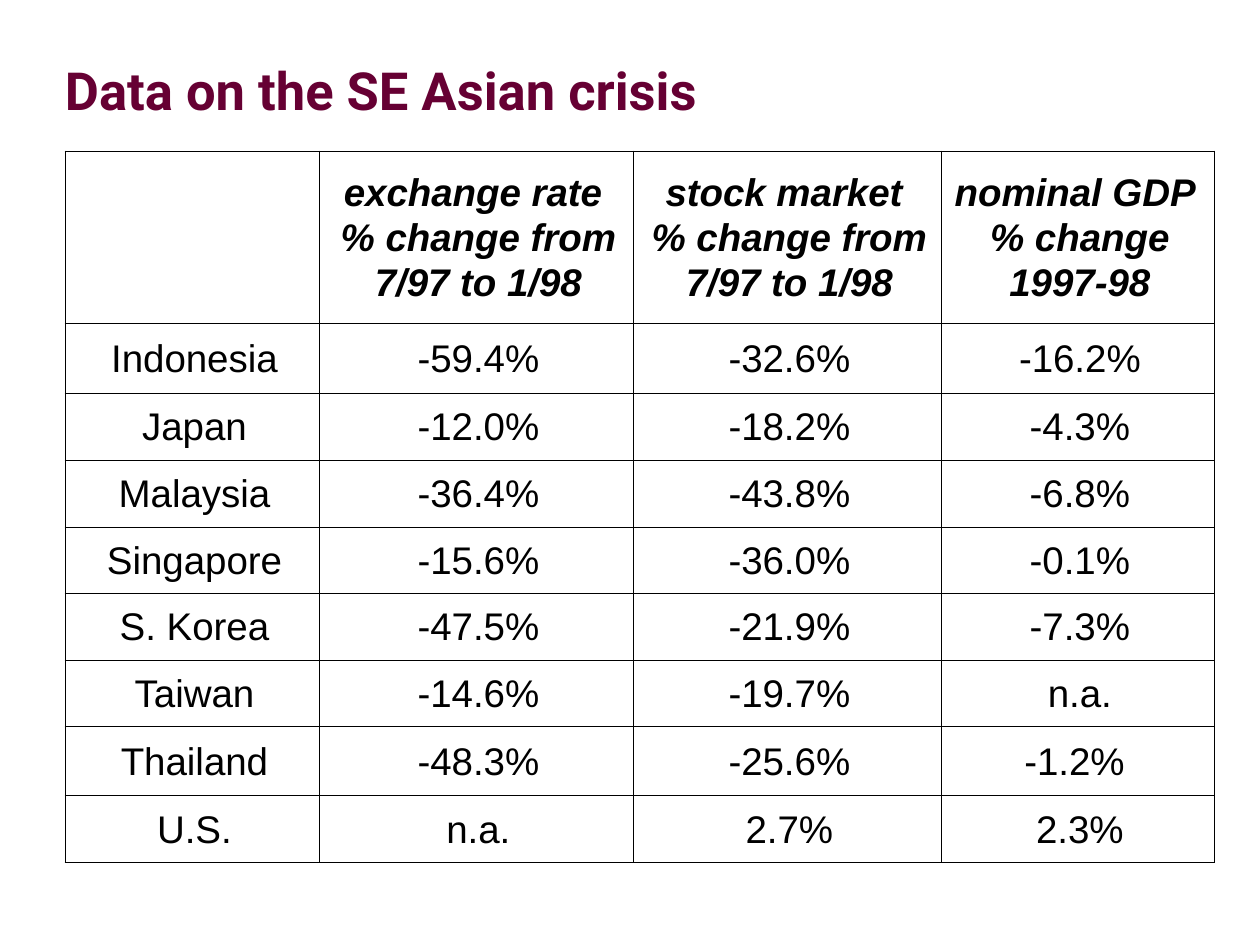
from lxml.etree import SubElement
from pptx import Presentation
from pptx.dml.color import RGBColor
from pptx.enum.text import MSO_ANCHOR, PP_ALIGN
from pptx.oxml.ns import qn
from pptx.util import Emu, Pt

# Content
TITLE = "Data on the SE Asian crisis"
HEADERS = [
    "",
    "exchange rate \n% change from 7/97 to 1/98",
    "stock market \n% change from 7/97 to 1/98",
    "nominal GDP \n% change 1997-98",
]
COUNTRIES = [
    ("Indonesia", "-59.4%", "-32.6%", "-16.2%"),
    ("Japan", "-12.0%", "-18.2%", "-4.3%"),
    ("Malaysia", "-36.4%", "-43.8%", "-6.8%"),
    ("Singapore", "-15.6%", "-36.0%", "-0.1%"),
    ("S. Korea", "-47.5%", "-21.9%", "-7.3%"),
    ("Taiwan", "-14.6%", "-19.7%", "n.a."),
    ("Thailand", "-48.3%", "-25.6%", "-1.2% "),
    ("U.S.", "n.a.", "2.7%", "2.3%"),
]

# Layout in px, 126 to the inch
PX = 914400 // 126
TITLE_BOX = (65, 4, 1138, 168)
TABLE_LEFT, TABLE_TOP = 65, 151
COLUMN_WIDTHS = [254, 314, 308, 273]
ROW_HEIGHTS = [172, 70, 67, 67, 66, 67, 67, 69, 67]
INDENT = 5
LINE_SPACING = 1.05
BORDER_WIDTH = Pt(0.45)

PLUM = RGBColor(0x66, 0x00, 0x33)
BLACK = RGBColor(0, 0, 0)
WHITE = RGBColor(255, 255, 255)

TITLE_FONT = {"name": "Roboto", "size": Pt(30), "bold": True}
BODY_FONT = {"name": "Arial", "size": Pt(22), "bold": False, "italic": False}
HEADER_FONT = {**BODY_FONT, "bold": True, "italic": True}
TITLE_FRAME = {"word_wrap": True, "vertical_anchor": MSO_ANCHOR.MIDDLE,
               "margin_left": 0, "margin_right": 0,
               "margin_top": 0, "margin_bottom": 0}
CELL_FRAME = {"vertical_anchor": MSO_ANCHOR.MIDDLE,
              "margin_left": Emu(8 * PX), "margin_right": Emu(8 * PX),
              "margin_top": Emu(6 * PX), "margin_bottom": Emu(6 * PX)}


def px(length):
    return Emu(length * PX)


def apply(target, values):
    for name, value in values.items():
        setattr(target, name, value)


def write(paragraph, text, font, color):
    paragraph.text = text
    paragraph.line_spacing = LINE_SPACING
    for run in paragraph.runs:
        apply(run.font, font)
        run.font.color.rgb = color


def add_borders(cell):
    properties = cell._tc.get_or_add_tcPr()
    for side in ("lnL", "lnR", "lnT", "lnB"):
        line = SubElement(properties, qn(f"a:{side}"), w=str(int(BORDER_WIDTH)))
        fill = SubElement(line, qn("a:solidFill"))
        SubElement(fill, qn("a:srgbClr"), val=str(BLACK))


def fill_cell(cell, text, font):
    apply(cell, CELL_FRAME)
    add_borders(cell)
    cell.fill.solid()
    cell.fill.fore_color.rgb = WHITE
    if text:
        paragraph = cell.text_frame.paragraphs[0]
        write(paragraph, text, font, BLACK)
        paragraph.alignment = PP_ALIGN.CENTER
        paragraph._p.get_or_add_pPr().set("marL", str(INDENT * PX))


def main():
    prs = Presentation()
    prs.slide_width, prs.slide_height = px(1260), px(945)
    slide = prs.slides.add_slide(prs.slide_layouts[6])

    # Title
    title = slide.shapes.add_textbox(*map(px, TITLE_BOX)).text_frame
    apply(title, TITLE_FRAME)
    write(title.paragraphs[0], TITLE, TITLE_FONT, PLUM)

    # Table
    rows = [HEADERS, *COUNTRIES]
    table = slide.shapes.add_table(
        len(rows), len(HEADERS), px(TABLE_LEFT), px(TABLE_TOP),
        px(sum(COLUMN_WIDTHS)), px(sum(ROW_HEIGHTS))).table
    apply(table, {"first_row": False, "horz_banding": False})
    for column, width in zip(table.columns, COLUMN_WIDTHS):
        column.width = px(width)
    for row, height in zip(table.rows, ROW_HEIGHTS):
        row.height = px(height)
    for r, texts in enumerate(rows):
        for c, text in enumerate(texts):
            fill_cell(table.cell(r, c), text, BODY_FONT if r else HEADER_FONT)

    prs.save("out.pptx")


if __name__ == "__main__":
    main()
